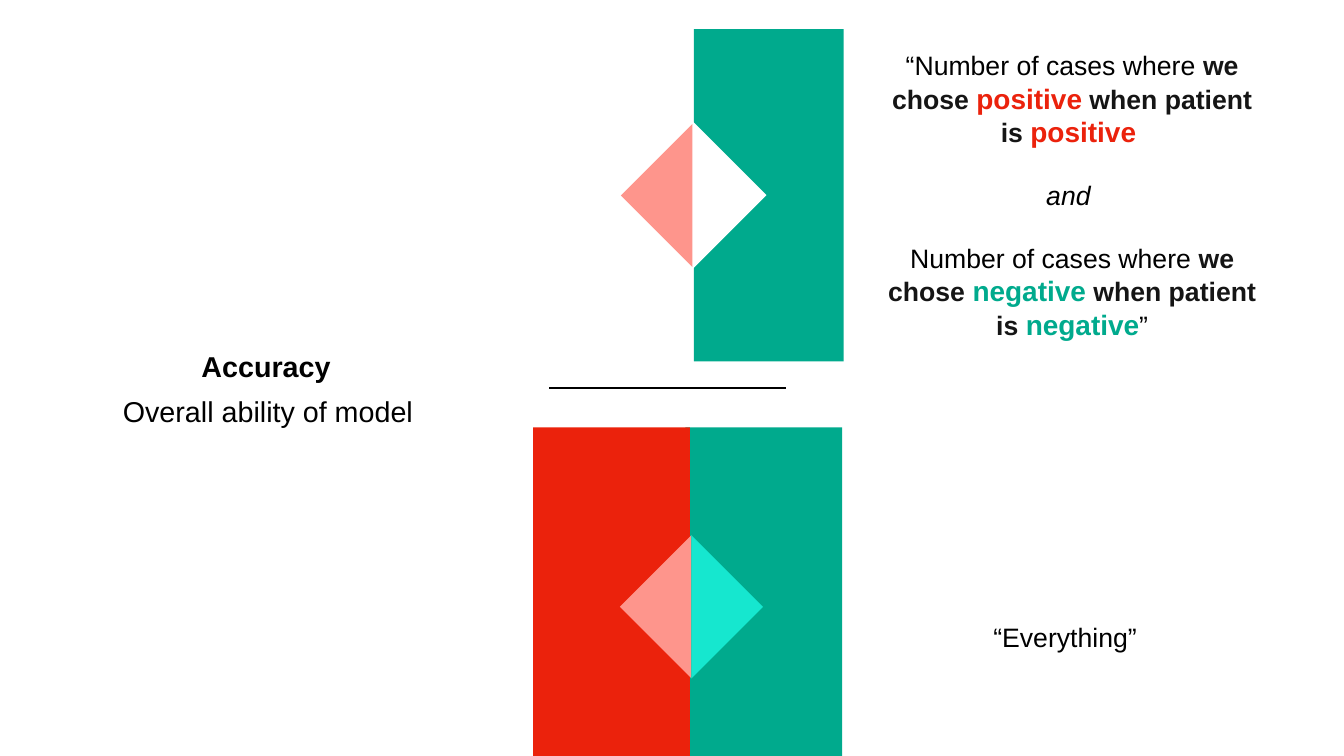
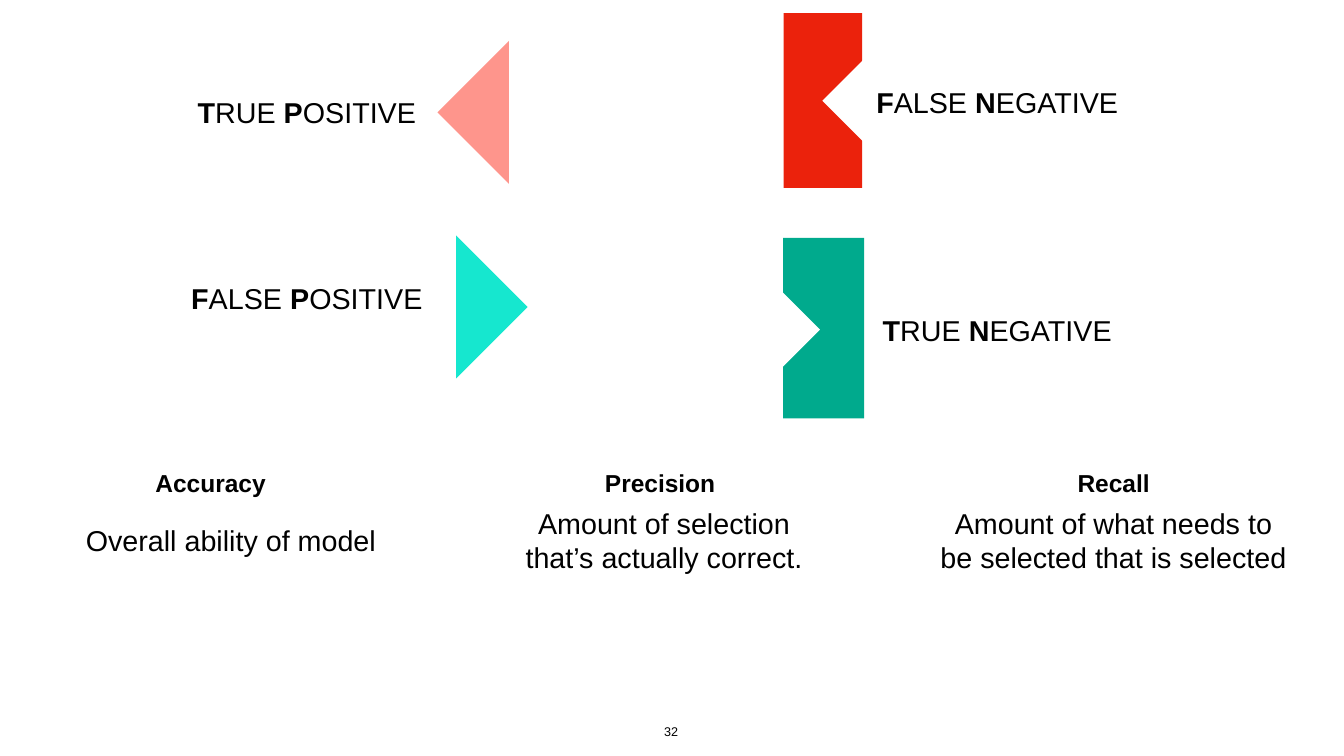
from lxml import etree
from pptx import Presentation
from pptx.dml.color import RGBColor
from pptx.enum.shapes import MSO_CONNECTOR, MSO_SHAPE
from pptx.enum.text import MSO_ANCHOR, MSO_AUTO_SIZE, PP_ALIGN
from pptx.oxml.ns import qn
from pptx.util import Inches, Pt

BLACK = RGBColor(0x00, 0x00, 0x00)
INK = RGBColor(0x15, 0x15, 0x15)
WHITE = RGBColor(0xFF, 0xFF, 0xFF)
RED = RGBColor(0xEB, 0x22, 0x0C)
PINK = RGBColor(0xFE, 0x95, 0x8C)
GREEN = RGBColor(0x00, 0xAA, 0x8D)
AQUA = RGBColor(0x16, 0xE7, 0xCF)

FONT = "Arial"
HEAD, TERM, BODY, LABEL, NUMBER = 35, 40, 38, 41, 18
LEFT, RIGHT = -1, 1
TITLE_ONLY, BLANK = 5, 6
RECT = MSO_SHAPE.RECTANGLE
STRAIGHT = MSO_CONNECTOR.STRAIGHT
CENTER = PP_ALIGN.CENTER
MIDDLE, BOTTOM = MSO_ANCHOR.MIDDLE, MSO_ANCHOR.BOTTOM
GROW = MSO_AUTO_SIZE.SHAPE_TO_FIT_TEXT


class Deck:
    """Holds the presentation, its style and the current slide."""

    def __init__(self, width, height):
        self.prs = Presentation()
        self.prs.slide_width, self.prs.slide_height = Inches(width), Inches(height)
        self.s = None

    def slide(self, layout):
        self.s = self.prs.slides.add_slide(self.prs.slide_layouts[layout])

    def fill_text(self, sp, paragraphs, size, anchor=MIDDLE, gap=0):
        """Fill a shape; a run is (text, {bold, italic, size, color})."""
        tf = sp.text_frame
        tf.word_wrap, tf.auto_size, tf.vertical_anchor = True, GROW, anchor
        tf.margin_left = tf.margin_right = Inches(0.06)
        tf.margin_top = tf.margin_bottom = Inches(0.06)
        for i, runs in enumerate(paragraphs):
            p = tf.add_paragraph() if i else tf.paragraphs[0]
            p.alignment = CENTER
            p.space_before = Pt(gap if i else 0)
            for text, style in runs:
                r = p.add_run()
                r.text = text
                r.font.name = FONT
                r.font.size = Pt(style.get("size", size))
                r.font.bold = style.get("bold", False)
                r.font.italic = style.get("italic", False)
                r.font.color.rgb = style.get("color", BLACK)

    def title(self, x, y, w, h, text, size):
        sp = self.s.shapes.title
        sp.left, sp.top, sp.width, sp.height = map(Inches, (x, y, w, h))
        self.fill_text(sp, [[(text, {"bold": True})]], size)

    def text(self, x, y, w, h, paragraphs, size, **options):
        sp = self.s.shapes.add_textbox(*map(Inches, (x, y, w, h)))
        self.fill_text(sp, paragraphs, size, **options)

    def line(self, x, y, w):
        sp = self.s.shapes.add_connector(
            STRAIGHT, Inches(x), Inches(y), Inches(x + w), Inches(y))
        sp.line.color.rgb = BLACK
        sp.line.width = Pt(4)
        etree.SubElement(sp._element.spPr, qn("a:effectLst"))

    def paint(self, sp, color):
        sp.shadow.inherit = False
        sp.fill.solid()
        sp.fill.fore_color.rgb = color
        sp.line.fill.background()

    def rect(self, x, y, w, h, color):
        sp = self.s.shapes.add_shape(RECT, *map(Inches, (x, y, w, h)))
        self.paint(sp, color)

    def triangle(self, x, y, half, side, color):
        """Half a diamond: upright edge at x, tip to one side at height y."""
        points = [(x + side * half, y), (x, y + half)]
        fb = self.s.shapes.build_freeform(Inches(x), Inches(y - half))
        fb.add_line_segments([(Inches(px), Inches(py)) for px, py in points])
        self.paint(fb.convert_to_shape(), color)


def plain(text):
    return [[(text, {})]]


def initials(*words):
    """Set the first letter of each word in bold."""
    runs = []
    for i, word in enumerate(words):
        tail = word[1:] + (" " if i < len(words) - 1 else "")
        runs += [(word[0], {"bold": True}), (tail, {})]
    return [runs]


def case(before, outcome, color, after):
    """One sentence of the numerator, with the outcome in colour."""
    strong = {"bold": True, "color": INK}
    term = {"bold": True, "color": color, "size": TERM}
    return [(before + "Number of cases where ", {}), ("we chose ", strong),
            (outcome, term), (" ", {}), ("when patient is ", strong),
            (outcome, term), (after, {})]


def accuracy_slide(deck):
    deck.slide(TITLE_ONLY)
    deck.title(3.75, 6.87, 3.06, 0.8, "Accuracy", LABEL)
    deck.text(2.2, 7.75, 6.24, 0.8, plain("Overall ability of model"), LABEL)

    # Fraction bar and wording
    deck.line(10.9, 7.7, 4.7)
    deck.text(17.35, 0.87, 7.85, 6, [
        case("“", "positive", RED, " "),
        [("and ", {"italic": True})],
        case("", "negative", GREEN, "”"),
    ], BODY, gap=44)
    deck.text(19.49, 12.27, 3.29, 0.75, plain("“Everything”"), BODY)

    # Denominator: all cases
    deck.rect(13.6, 8.48, 3.11, 6.89, GREEN)
    deck.rect(10.58, 8.48, 3.11, 6.89, RED)
    deck.triangle(13.72, 12.04, 1.42, LEFT, PINK)
    deck.triangle(13.72, 12.04, 1.42, RIGHT, AQUA)

    # Numerator: correct cases
    deck.rect(13.77, 0.58, 2.97, 6.59, GREEN)
    deck.triangle(13.69, 3.87, 1.52, RIGHT, WHITE)
    deck.triangle(13.74, 3.88, 1.42, LEFT, PINK)


def summary_slide(deck):
    deck.slide(BLANK)

    # Measures: heading box, then description box
    measures = [
        ("Accuracy", 2.95, 2.46, "Overall ability of model", 1.56, 10.32, 6.05, 0.8),
        ("Precision", 11.87, 2.46, "Amount of selection that’s actually correct.",
         10.02, 9.98, 6.32, 1.46),
        ("Recall", 21.32, 1.56, "Amount of what needs to be selected that is selected",
         18.52, 9.98, 7.16, 1.46),
    ]
    for name, x, w, meaning, *box in measures:
        deck.text(x, 9.23, w, 0.7, [[(name, {"bold": True})]], HEAD)
        deck.text(*box, plain(meaning), LABEL)

    # Outcome pieces
    deck.triangle(10.1, 2.23, 1.42, LEFT, PINK)
    deck.triangle(9.05, 6.09, 1.42, RIGHT, AQUA)
    deck.rect(15.55, 0.26, 1.56, 3.47, RED)
    deck.triangle(17.14, 2, 0.82, LEFT, WHITE)
    deck.rect(15.54, 4.72, 1.61, 3.58, GREEN)
    deck.triangle(15.45, 6.54, 0.82, RIGHT, WHITE)

    # Outcome labels
    for x, y, words in [
        (2.93, 1.83, ("TRUE", "POSITIVE")),
        (2.93, 5.52, ("FALSE", "POSITIVE")),
        (16.63, 1.63, ("FALSE", "NEGATIVE")),
        (16.63, 6.14, ("TRUE", "NEGATIVE")),
    ]:
        deck.text(x, y, 6.32, 0.8, initials(*words), LABEL)

    # Slide number
    deck.text(13.12, 14.31, 0.4, 0.41, plain("32"), NUMBER, anchor=BOTTOM)


def main():
    deck = Deck(26.67, 15)
    accuracy_slide(deck)
    summary_slide(deck)
    deck.prs.save("out.pptx")


if __name__ == "__main__":
    main()
